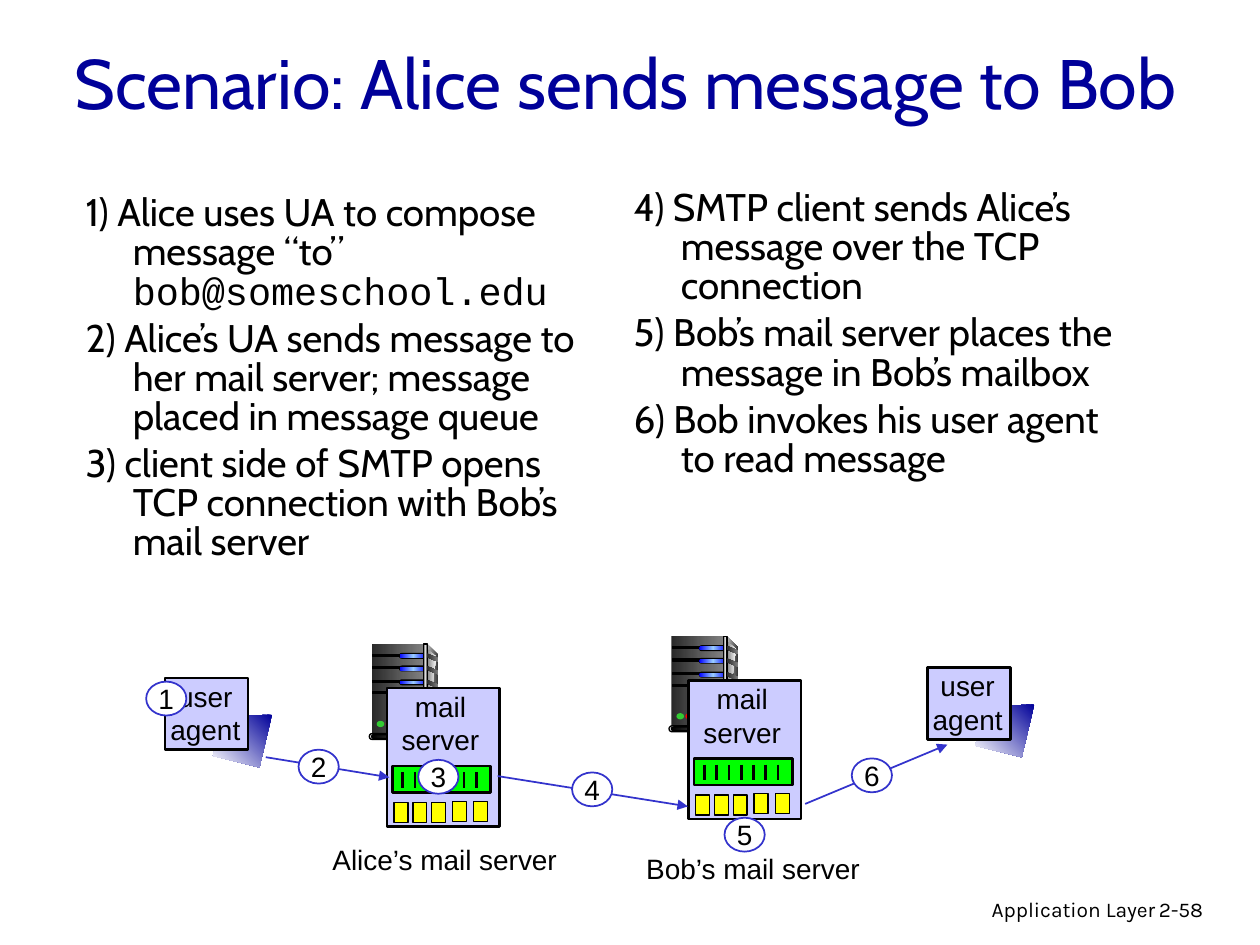
from copy import deepcopy

from lxml.etree import SubElement
from pptx import Presentation
from pptx.dml.color import RGBColor
from pptx.enum.shapes import MSO_CONNECTOR, MSO_SHAPE
from pptx.enum.text import MSO_ANCHOR, MSO_AUTO_SIZE, PP_ALIGN
from pptx.oxml.ns import qn
from pptx.util import Pt

HUES = {
    "black": "000000", "white": "FFFFFF", "navy": "000099", "blue": "3333CC",
    "lilac": "CCCCFF", "lime": "00FF00", "yellow": "FFFF00", "coal": "292929",
    "dark": "333333", "gray": "808080", "silver": "DDDDDD", "pale": "F8F8F8",
    "glow": "0000FF", "sky": "99CCFF", "green": "33CC33", "red": "FF0000",
}
RECT, ROUND, OVAL = MSO_SHAPE.RECTANGLE, MSO_SHAPE.ROUNDED_RECTANGLE, MSO_SHAPE.OVAL
STEPS_LEFT = [
    [("1) Alice uses UA to compose message “to” ", "Cabin"),
     ("bob@someschool.edu", "Courier New")],
    "2) Alice’s UA sends message to her mail server; message placed in message queue",
    "3) client side of SMTP opens TCP connection with Bob’s mail server",
]
STEPS_RIGHT = [
    "4) SMTP client sends Alice’s message over the TCP connection",
    "5) Bob’s mail server places the message in Bob’s mailbox",
    "6) Bob invokes his user agent to read message",
]


def hue(name):
    return RGBColor.from_string(HUES[name])


def write(frame, lines, font="Arial", size=16, color="black", align=PP_ALIGN.LEFT,
          wrap=True, anchor=MSO_ANCHOR.TOP, hang=0, gap=0, lead=None):
    """Fill a text frame; a line is a string or a list of (text, font) pairs."""
    frame.word_wrap = wrap
    frame.auto_size = MSO_AUTO_SIZE.NONE
    frame.vertical_anchor = anchor
    for i, line in enumerate(lines):
        para = frame.add_paragraph() if i else frame.paragraphs[0]
        para.alignment = align
        para.space_before = Pt(gap if i else 0)
        if lead:
            para.line_spacing = lead
        if hang:
            props = para._p.get_or_add_pPr()
            props.set("marL", str(Pt(hang)))
            props.set("indent", str(-Pt(hang)))
        for text, face in [(line, font)] if isinstance(line, str) else line:
            run = para.add_run()
            run.text = text
            run.font.name = face
            run.font.size = Pt(size)
            run.font.color.rgb = hue(color)


def label(shapes, x, y, w, h, lines, **style):
    box = shapes.add_textbox(Pt(x), Pt(y), Pt(w), Pt(h))
    write(box.text_frame, lines, **style)


def paint(shape, fill, line=None, width=0.75, angle=0):
    """Set fill and line; a tuple of colours makes an even gradient."""
    shape.shadow.inherit = False
    if isinstance(fill, tuple):
        shape.fill.gradient()
        shape.fill.gradient_angle = angle
        stops = shape.fill.gradient_stops
        if len(fill) == 3:
            first = shape._element.spPr.find(".//" + qn("a:gs"))
            first.addnext(deepcopy(first))
            stops = shape.fill.gradient_stops
        for i, (stop, name) in enumerate(zip(stops, fill)):
            stop.position = i / (len(fill) - 1)
            stop.color.rgb = hue(name)
    else:
        shape.fill.solid()
        shape.fill.fore_color.rgb = hue(fill)
    if line:
        shape.line.color.rgb = hue(line)
        shape.line.width = Pt(width)
    else:
        shape.line.fill.background()


def block(shapes, kind, x, y, w, h, fill, line=None, width=0.75):
    shape = shapes.add_shape(kind, Pt(x), Pt(y), Pt(w), Pt(h))
    if kind == ROUND:
        shape.adjustments[0] = 0.5
    paint(shape, fill, line, width)
    return shape


def poly(shapes, x, y, points, fill, angle=0):
    spots = [(Pt(x + dx), Pt(y + dy)) for dx, dy in points]
    form = shapes.build_freeform(*spots[0])
    form.add_line_segments(spots[1:], close=True)
    paint(form.convert_to_shape(), fill, angle=angle)


def stroke(shapes, start, end, color, width, arrow=False):
    ends = [Pt(v) for v in (*start, *end)]
    line = shapes.add_connector(MSO_CONNECTOR.STRAIGHT, *ends)
    line.line.color.rgb = hue(color)
    line.line.width = Pt(width)
    if arrow:
        SubElement(line.line._get_or_add_ln(), qn("a:tailEnd"), type="triangle")
    SubElement(line._element.spPr, qn("a:effectLst"))


def agent(slide, x, y):
    group = slide.shapes.add_group_shape().shapes
    poly(group, x, y, [(61.2, 20.9), (32.4, 22.3), (27.4, 44.6), (54, 51.1)],
         ("navy", "white"), 225)
    block(group, RECT, x, y, 47.5, 41, "lilac", "black", 1.5)
    label(group, x - 4.3, y - 2.9, 54.7, 46, ["user", "agent"],
          align=PP_ALIGN.CENTER, wrap=False)


def tower(slide, x, y):
    group = slide.shapes.add_group_shape().shapes
    poly(group, x, y, [(33.1, 0), (39.6, 6.5), (39.6, 49.7), (31.7, 51.8)],
         ("silver", "dark"))
    block(group, RECT, x + 1.4, y, 29.5, 51.8, ("coal", "gray"))
    poly(group, x, y, [(33.1, 2.9), (38.2, 7.2), (33.1, 50.4)], ("gray", "pale"))
    rows = [5.8, 13, 20.9]
    for row in rows + [27.4]:
        block(group, RECT, x + 2, y + row, 16.5, 1.1, "black", "black")
    for row in rows:
        block(group, ROUND, x + 17, y + row - 0.7, 16.5, 3.4, "black")
        block(group, ROUND, x + 17.3, y + row, 15.8, 2.2, ("glow", "sky", "glow"))
    block(group, RECT, x + 31, y, 2.2, 51.8, ("dark", "silver", "dark"), "black")
    for row in rows:
        poly(group, x, y + row, [(33, -0.4), (39.6, 2.4), (39.6, 4.5), (33, 1.8)],
             ("coal", "gray"))
    block(group, ROUND, x, y + 51.2, 33.8, 3.4, "silver", "black")
    block(group, ROUND, x + 1.4, y + 51.8, 30.2, 2.2, ("black", "gray"), "black")
    for dx, color in ((4.3, "green"), (9.4, "red")):
        block(group, OVAL, x + dx, y + 43.9, 4.3, 3.6, color)


def server(slide, x, y):
    group = slide.shapes.add_group_shape().shapes
    block(group, RECT, x, y, 64.1, 79.2, "lilac", "black", 1.5)
    label(group, x + 1, y - 2.9, 59, 46, ["mail", "server"],
          align=PP_ALIGN.CENTER, wrap=False)
    block(group, RECT, x + 2.9, y + 44.6, 56.2, 15.1, "lime", "black", 1.5)
    for i in range(7):
        tick = x + 9 + 7 * i
        stroke(group, (tick, y + 48.2), (tick, y + 56.9), "black", 1.5)
    for dx, dy in ((4, 65.5), (14.8, 65.5), (25.4, 65.5), (37.3, 64.8), (49.5, 64.8)):
        block(group, RECT, x + dx, y + dy, 7.9, 11.5, "yellow", "black")


def badge(slide, number, x, y):
    disc = block(slide.shapes, OVAL, x, y, 23, 19.4, "white", "blue", 1)
    write(disc.text_frame, [str(number)], align=PP_ALIGN.CENTER, wrap=False,
          anchor=MSO_ANCHOR.MIDDLE)


def main():
    deck = Presentation()
    deck.slide_width, deck.slide_height = Pt(720), Pt(540)
    slide = deck.slides.add_slide(deck.slide_layouts[5])
    shapes = slide.shapes
    title = shapes.title
    title.left, title.top, title.width, title.height = Pt(35.3), Pt(1.4), Pt(648.7), Pt(90)
    write(title.text_frame, ["Scenario: Alice sends message to Bob"], font="Cabin",
          size=40, color="navy", anchor=MSO_ANCHOR.MIDDLE)

    steps = dict(font="Cabin", size=22, hang=27, gap=4.4, lead=0.85)
    label(shapes, 41.8, 108, 300.2, 253.4, STEPS_LEFT, **steps)
    label(shapes, 355, 105.1, 300.2, 257, STEPS_RIGHT, **steps)

    agent(slide, 94.3, 387.4)
    agent(slide, 529.9, 381.6)
    for x, y in ((211, 368), (382.3, 363.6)):
        tower(slide, x, y)
    for x, y in ((221.2, 393.1), (393.6, 388.8)):
        server(slide, x, y)

    hops = [((151.9, 432.7), (222.5, 444.2)), ((284.4, 443.5), (393.1, 460.8)),
            ((460.1, 459.4), (541.4, 425.5))]
    for start, end in hops:
        stroke(shapes, start, end, "blue", 1, arrow=True)
    spots = [(83.5, 389.5), (170.6, 428.4), (239, 434.2), (326.9, 441.4),
             (414, 467.3), (486.7, 433.4)]
    for number, spot in enumerate(spots, 1):
        badge(slide, number, *spot)

    label(shapes, 182.9, 478.1, 143.3, 26.6, ["Alice’s mail server"], wrap=False)
    label(shapes, 362.2, 483.1, 136.8, 26.6, ["Bob’s mail server"], wrap=False)
    foot = dict(font="Karla", size=12)
    label(shapes, 439.2, 509, 228.2, 22.3, ["Application Layer"],
          align=PP_ALIGN.RIGHT, **foot)
    label(shapes, 655.2, 509, 53.3, 21.6, ["2-58"], **foot)
    deck.save("out.pptx")


if __name__ == "__main__":
    main()
